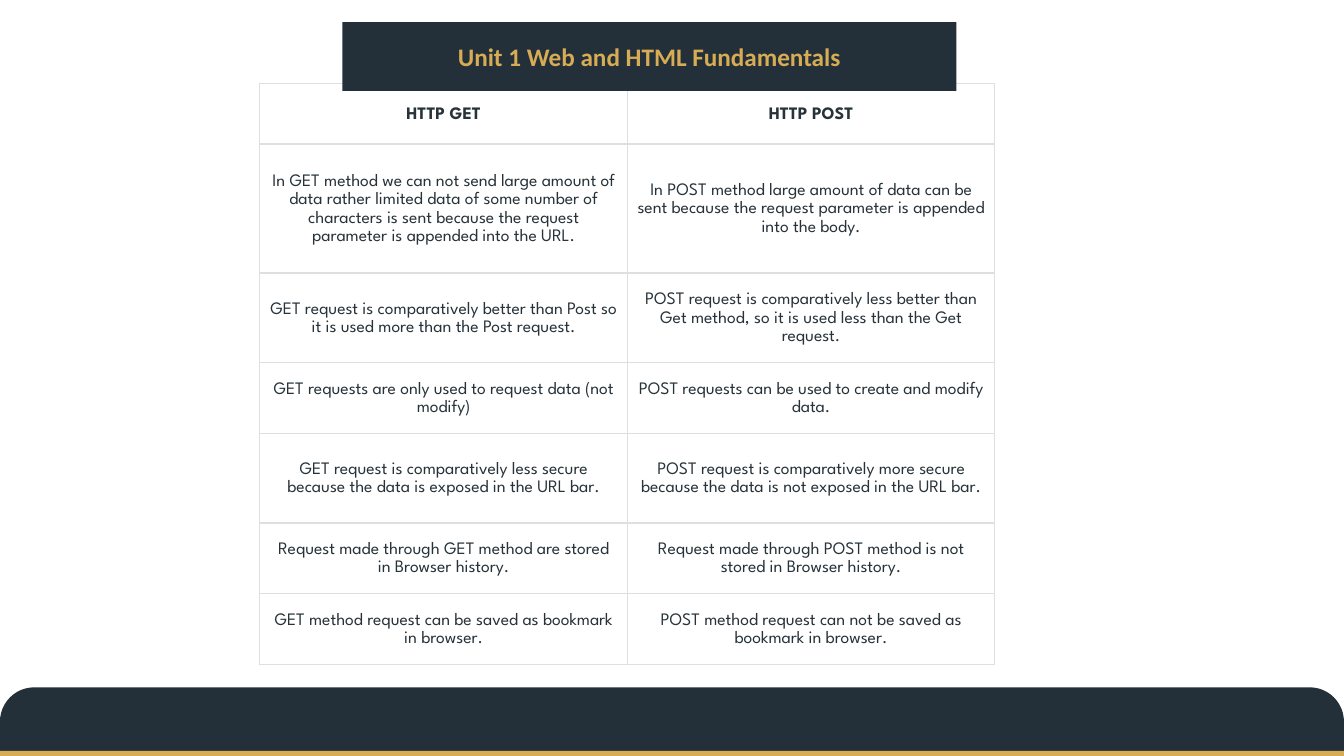
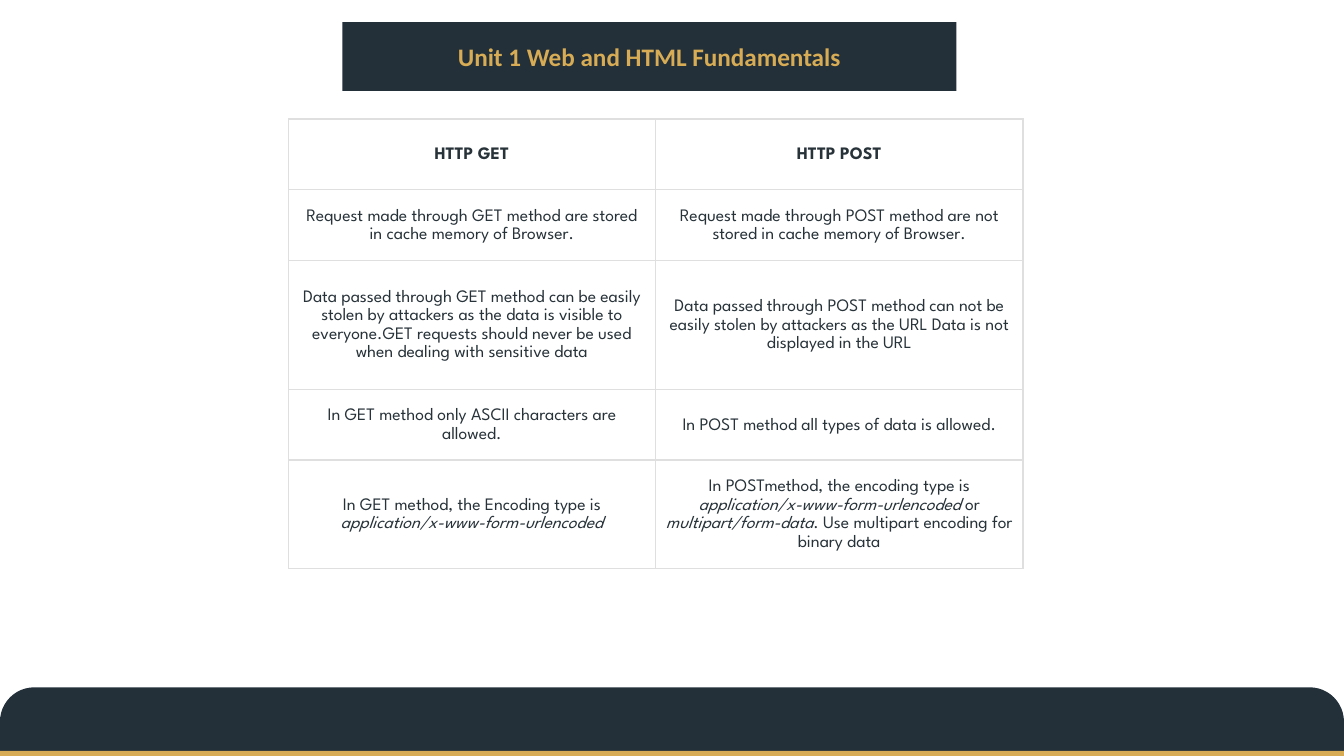
from lxml import etree
from pptx import Presentation
from pptx.dml.color import RGBColor
from pptx.enum.shapes import MSO_SHAPE
from pptx.enum.text import MSO_ANCHOR, MSO_AUTO_SIZE, PP_ALIGN
from pptx.oxml.ns import qn
from pptx.util import Cm, Pt

ROUND_TOP = MSO_SHAPE.ROUND_2_SAME_RECTANGLE
MIDDLE = MSO_ANCHOR.MIDDLE
NO_FIT = MSO_AUTO_SIZE.NONE
CENTER = PP_ALIGN.CENTER

COLORS = {"navy": "233039", "gold": "D7AC54", "ink": "273239",
          "grid": "DFDFDF", "paper": "FFFFFF"}
HEADING_FONT = "Calibri"
BODY_FONT = "League Spartan"
SLIDE_W, SLIDE_H = 33.87, 19.05
UNIT_TITLE = "Unit 1 Web and HTML Fundamentals"
COLUMN_W = 9.26
HEADER = ("HTTP GET", "HTTP POST")

# Each row: height in cm, GET text, POST text; *stars* enclose italics
METHOD_ROWS = [
    (1.52, *HEADER),
    (3.25, "In GET method we can not send large amount of data rather limited data of some "
           "number of characters is sent because the request parameter is appended into the URL.",
     "In POST method large amount of data can be sent because the request parameter is "
     "appended into the body."),
    (2.26, "GET request is comparatively better than Post so it is used more than the Post request.",
     "POST request is comparatively less better than Get method, so it is used less than "
     "the Get request."),
    (1.78, "GET requests are only used to request data (not modify)",
     "POST requests can be used to create and modify data."),
    (2.26, "GET request is comparatively less secure because the data is exposed in the URL bar.",
     "POST request is comparatively more secure because the data is not exposed in the URL bar."),
    (1.78, "Request made through GET method are stored in Browser history.",
     "Request made through POST method is not stored in Browser history."),
    (1.78, "GET method request can be saved as bookmark in browser.",
     "POST method request can not be saved as bookmark in browser."),
]
DATA_ROWS = [
    (1.78, *HEADER),
    (1.78, "Request made through GET method are stored in cache memory of Browser.",
     "Request made through POST method are not stored in cache memory of Browser."),
    (3.25, "Data passed through GET method can be easily stolen by attackers as the data is "
           "visible to everyone.GET requests should never be used when dealing with sensitive data",
     "Data passed through POST method can not be easily stolen by attackers as the URL Data "
     "is not displayed in the URL"),
    (1.78, "In GET method only ASCII characters are allowed.",
     "In POST method all types of data is allowed."),
    (2.74, "In GET method, the Encoding type is *application/x-www-form-urlencoded*",
     "In POSTmethod, the encoding type is *application/x-www-form-urlencoded* or "
     "*multipart/form-data*. Use multipart encoding for binary data"),
]


def rgb(color):
    return RGBColor.from_string(COLORS[color])


def paint(target, color):
    target.fill.solid()
    target.fill.fore_color.rgb = rgb(color)


def write(frame, text, *, font, size, color, bold=False, spacing=1.0):
    """Write one centred paragraph; text between stars is italic."""
    paragraph = frame.paragraphs[0]
    paragraph.alignment = CENTER
    paragraph.line_spacing = spacing
    for index, part in enumerate(text.split("*")):
        if not part:
            continue
        run = paragraph.add_run()
        run.text = part
        run.font.name = font
        run.font.size = Pt(size)
        run.font.bold = bold
        run.font.italic = index % 2 == 1
        run.font.color.rgb = rgb(color)


def add_footer_band(slide, top, height, color, rounding, shape_id):
    """Draw a full-width band and move it to the slide's layout."""
    band = slide.shapes.add_shape(ROUND_TOP, 0, Cm(top), Cm(SLIDE_W), Cm(height))
    band.adjustments[0] = rounding
    band.adjustments[1] = 0
    band.shadow.inherit = False
    paint(band, color)
    band.line.fill.background()
    band.element.xpath("./p:nvSpPr/p:cNvPr")[0].set("id", str(shape_id))
    slide.slide_layout.shapes.element.append(band.element)


def add_title_banner(slide, text):
    banner = slide.shapes.title
    banner.left, banner.top, banner.width, banner.height = (
        Cm(8.63), Cm(0.56), Cm(15.47), Cm(1.73))
    # Snip the top right and bottom left corners
    geometry = etree.SubElement(banner.element.spPr, qn("a:prstGeom"), prst="snip2DiagRect")
    guides = etree.SubElement(geometry, qn("a:avLst"))
    for name, value in (("adj1", 0), ("adj2", 43000)):
        etree.SubElement(guides, qn("a:gd"), name=name, fmla=f"val {value}")
    paint(banner, "navy")
    frame = banner.text_frame
    frame.word_wrap = True
    frame.auto_size = NO_FIT
    frame.vertical_anchor = MIDDLE
    write(frame, text, font=HEADING_FONT, size=18, color="gold", bold=True)
    # The banner overlaps the table, so bring it to the front
    slide.shapes.element.append(banner.element)


def set_borders(cell):
    properties = cell._tc.get_or_add_tcPr()
    for index, side in enumerate("LRTB"):
        line = etree.Element(qn(f"a:ln{side}"), w=str(Pt(0.94)))
        fill = etree.SubElement(line, qn("a:solidFill"))
        etree.SubElement(fill, qn("a:srgbClr"), val=COLORS["grid"])
        properties.insert(index, line)


def add_comparison_table(slide, left, top, rows):
    total_height = sum(height for height, *_ in rows)
    table = slide.shapes.add_table(len(rows), len(HEADER), Cm(left), Cm(top),
                                   Cm(COLUMN_W * len(HEADER)), Cm(total_height)).table
    table.first_row = False
    table.horz_banding = False
    for column in table.columns:
        column.width = Cm(COLUMN_W)
    for row_index, (height, *texts) in enumerate(rows):
        table.rows[row_index].height = Cm(height)
        for column_index, text in enumerate(texts):
            cell = table.cell(row_index, column_index)
            cell.vertical_anchor = MIDDLE
            cell.margin_left = cell.margin_right = Cm(0.25)
            cell.margin_top = cell.margin_bottom = Cm(0.38)
            paint(cell, "paper")
            set_borders(cell)
            write(cell.text_frame, text, font=BODY_FONT, size=12.5, color="ink",
                  bold=row_index == 0, spacing=1.15)


def add_comparison_slide(prs, left, top, rows):
    slide = prs.slides.add_slide(prs.slide_layouts.get_by_name("Title Only"))
    add_comparison_table(slide, left, top, rows)
    add_title_banner(slide, UNIT_TITLE)
    return slide


def main():
    prs = Presentation()
    prs.slide_width, prs.slide_height = Cm(SLIDE_W), Cm(SLIDE_H)

    # GET and POST: size, safety and history
    first_slide = add_comparison_slide(prs, 6.55, 2.11, METHOD_ROWS)
    # GET and POST: caching, data and encoding
    add_comparison_slide(prs, 7.26, 3, DATA_ROWS)

    # Footer bands shared through the layout
    add_footer_band(first_slide, 17.32, 1.73, "navy", 0.5, 101)
    add_footer_band(first_slide, 18.92, 0.13, "gold", 0, 102)

    prs.save("out.pptx")


if __name__ == "__main__":
    main()
